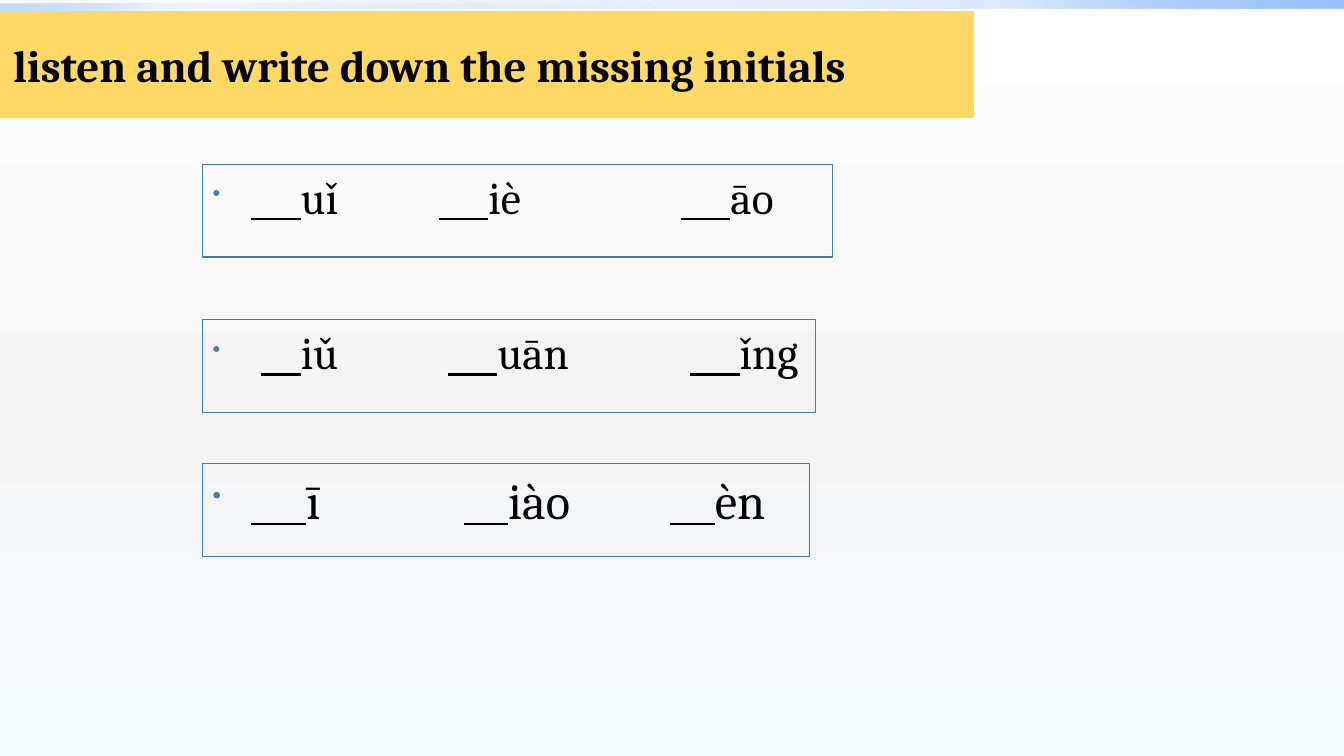
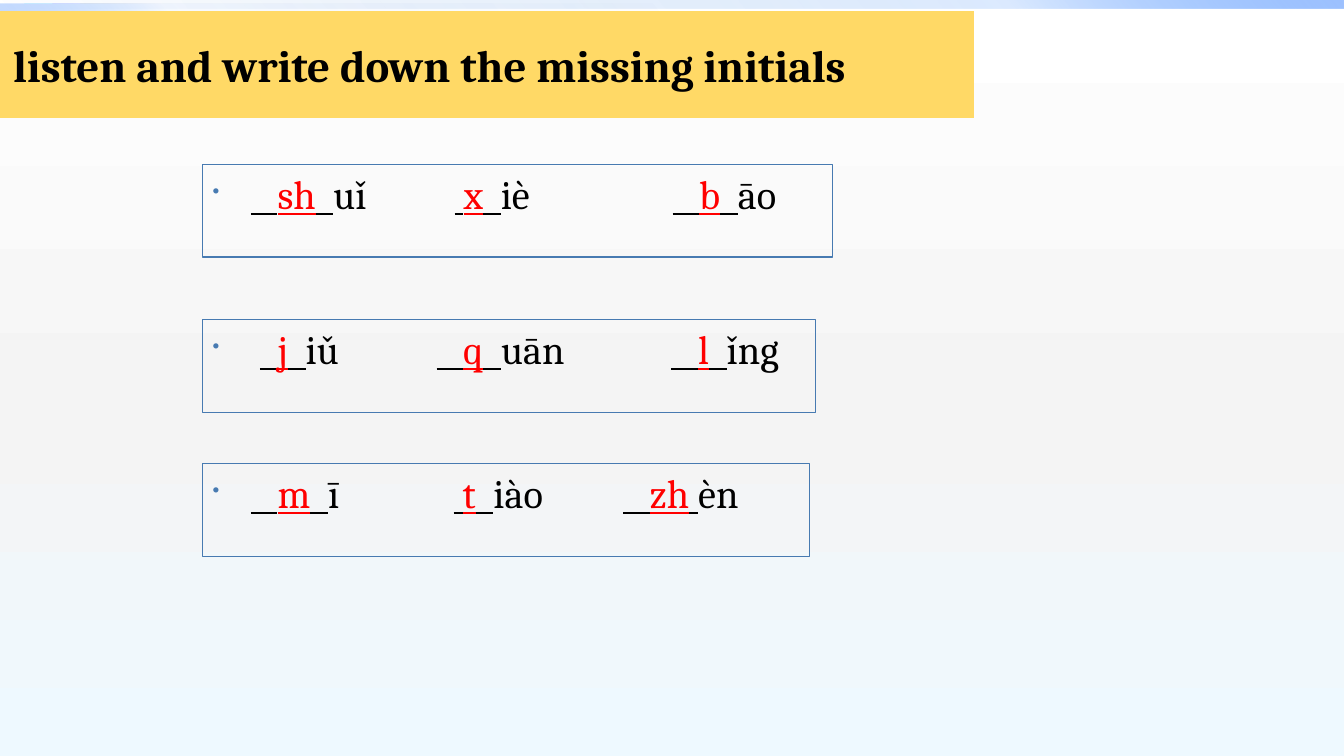
import pptx
import pptx.util
import pptx.dml.color
import pptx.enum.shapes
import pptx.enum.text
import pptx.oxml
import pptx.oxml.ns
from lxml import etree

Inches, Pt = pptx.util.Inches, pptx.util.Pt
qn = pptx.oxml.ns.qn

# Content: a word is (left edge of its blank, line before, initial, line after, final)
TITLE = "listen and write down the missing initials"
EXERCISES = [
    [  # questions
        (32.4, [(2.49, 5, "", 0, "uǐ"), (4.35, 5, "", 0, "iè"), (6.75, 5, "", 0, "āo")]),
        (32.4, [(2.59, 4, "", 0, "iǔ"), (4.44, 5, "", 0, "uān"), (6.84, 5, "", 0, "ǐng")]),
        (36, [(2.49, 5, "", 0, "ī"), (4.6, 4, "", 0, "iào"), (6.65, 4, "", 0, "èn")]),
    ],
    [  # answers
        (28.8, [(2.49, 3, "sh", 2, "uǐ"), (4.51, 1, "x", 2, "iè"), (6.67, 3, "b", 2, "āo")]),
        (28.8, [(2.58, 2, "j", 2, "iǔ"), (4.33, 3, "q", 2, "uān"), (6.66, 3, "l", 2, "ǐng")]),
        (28.8, [(2.49, 3, "m", 2, "ī"), (4.5, 1, "t", 2, "iào"), (6.18, 3, "zh", 1, "èn")]),
    ],
]


class Theme:
    font = "Cambria"
    title_size = 32
    ink = "000000"
    answer = "FF0000"
    outline = "477AB1"
    title_fill = "FFD966"
    # Gradient stops: position %, colour, opacity %
    backdrop = [(0, "FFFFFF", 100), (55, "F4F4F4", 100), (100, "EEF9FF", 100)]
    wide_band = [(0, "0058B7", 0), (75, "4F95FF", 20), (100, "9EC2FF", 100)]
    half_band = [(0, "0058B7", 0), (75, "4F95FF", 5), (100, "9EC2FF", 60)]


# Geometry in inches
SLIDE_W, SLIDE_H = 13.33, 7.5
BANDS = [((0, 0, SLIDE_W, 0.08), Theme.wide_band, 315),
         ((0, 0.04, SLIDE_W / 2, 0.08), Theme.half_band, 135)]
TITLE_BOX, TITLE_INSET = (0, 0.11, 9.66, 1.06), 0.13
FRAME_LEFT, FRAME_H, FRAME_INSET = 2.01, 0.92, 0.1
FRAMES = [(1.63, 6.25), (3.17, 6.08), (4.6, 6.02)]  # top, width


def rgb(colour):
    return pptx.dml.color.RGBColor.from_string(colour)


def add_xml(parent, tag, **attributes):
    return etree.SubElement(parent, qn(tag), attributes)


def set_gradient(fill, owner, stops, angle):
    fill.gradient()
    gradient = next(owner.iter(qn("a:gradFill")))
    for child in list(gradient):
        gradient.remove(child)
    stop_list = add_xml(gradient, "a:gsLst")
    for position, colour, opacity in stops:
        stop = add_xml(stop_list, "a:gs", pos=str(position * 1000))
        tint = add_xml(stop, "a:srgbClr", val=colour)
        if opacity < 100:
            add_xml(tint, "a:alpha", val=str(opacity * 1000))
    add_xml(gradient, "a:lin", ang=str(angle * 60000), scaled="0")


def add_box(slide, box):
    shape = slide.shapes.add_shape(pptx.enum.shapes.MSO_SHAPE.RECTANGLE, *map(Inches, box))
    shape.shadow.inherit = False
    shape.fill.background()
    shape.line.fill.background()
    frame = shape.text_frame
    frame.word_wrap = True
    frame.vertical_anchor = pptx.enum.text.MSO_ANCHOR.TOP
    frame.paragraphs[0].alignment = pptx.enum.text.PP_ALIGN.LEFT
    return shape


def add_run(paragraph, text, size, colour=Theme.ink, **style):
    run = paragraph.add_run()
    run.text = text
    run.font.name, run.font.size = Theme.font, Pt(size)
    run.font.color.rgb = rgb(colour)
    for key, value in style.items():
        setattr(run.font, key, value)


def add_bullet(properties, indent):
    properties.set("marL", str(Inches(indent)))
    properties.set("indent", str(-Inches(indent)))
    add_xml(add_xml(properties, "a:buClr"), "a:srgbClr", val=Theme.outline)
    add_xml(properties, "a:buSzPct", val="50000")
    add_xml(properties, "a:buChar", char="•")


def write_word(paragraph, word, size, bullet_indent=None):
    _, before, initial, after, final = word
    properties = paragraph._p.get_or_add_pPr()
    add_xml(add_xml(properties, "a:spcBef"), "a:spcPct", val="20000")
    if bullet_indent:
        add_bullet(properties, bullet_indent)
    # The underlined part is the line to write on
    for text, colour in ((" " * before, Theme.ink), (initial, Theme.answer),
                         (" " * after, Theme.ink)):
        if text:
            add_run(paragraph, text, size, colour, underline=True)
    add_run(paragraph, final, size)


def add_row(slide, top, width, size, words):
    # The outlined frame holds the bullet and the first word
    frame = add_box(slide, (FRAME_LEFT, top, width, FRAME_H))
    frame.line.color.rgb = rgb(Theme.outline)
    frame.line.width = Pt(0.75)
    indent = words[0][0] - FRAME_LEFT - FRAME_INSET
    write_word(frame.text_frame.paragraphs[0], words[0], size, indent)
    # Each further word reaches to the next one, the last to the frame edge
    edges = [word[0] for word in words[1:]] + [FRAME_LEFT + width]
    for word, right in zip(words[1:], edges[1:]):
        text = add_box(slide, (word[0], top, right - word[0], FRAME_H)).text_frame
        text.margin_left = text.margin_right = 0
        write_word(text.paragraphs[0], word, size)


def add_title(slide):
    banner = add_box(slide, TITLE_BOX)
    banner.fill.solid()
    banner.fill.fore_color.rgb = rgb(Theme.title_fill)
    text = banner.text_frame
    text.vertical_anchor = pptx.enum.text.MSO_ANCHOR.MIDDLE
    text.margin_left = text.margin_right = Inches(TITLE_INSET)
    text.margin_top = text.margin_bottom = Inches(TITLE_INSET)
    add_run(text.paragraphs[0], TITLE, Theme.title_size, bold=True)


def add_exercise(deck, rows):
    slide = deck.slides.add_slide(deck.slide_layouts[6])
    for box, stops, angle in BANDS:
        band = add_box(slide, box)
        set_gradient(band.fill, band.element, stops, angle)
    for (top, width), (size, words) in zip(FRAMES, rows):
        add_row(slide, top, width, size, words)
    add_title(slide)


def main():
    deck = pptx.Presentation()
    deck.slide_width, deck.slide_height = Inches(SLIDE_W), Inches(SLIDE_H)
    master = deck.slide_master
    set_gradient(master.background.fill, master.element, Theme.backdrop, 90)
    for rows in EXERCISES:
        add_exercise(deck, rows)
    deck.save("out.pptx")


if __name__ == "__main__":
    main()
